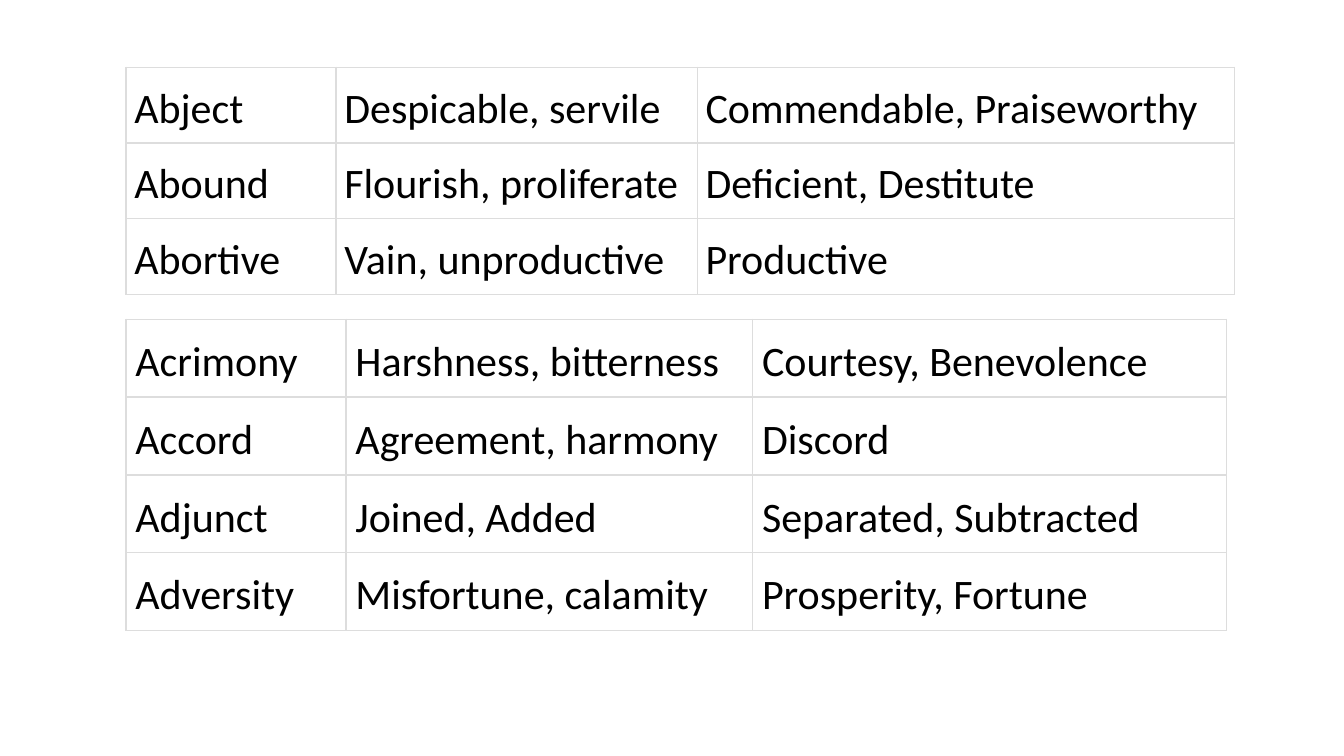
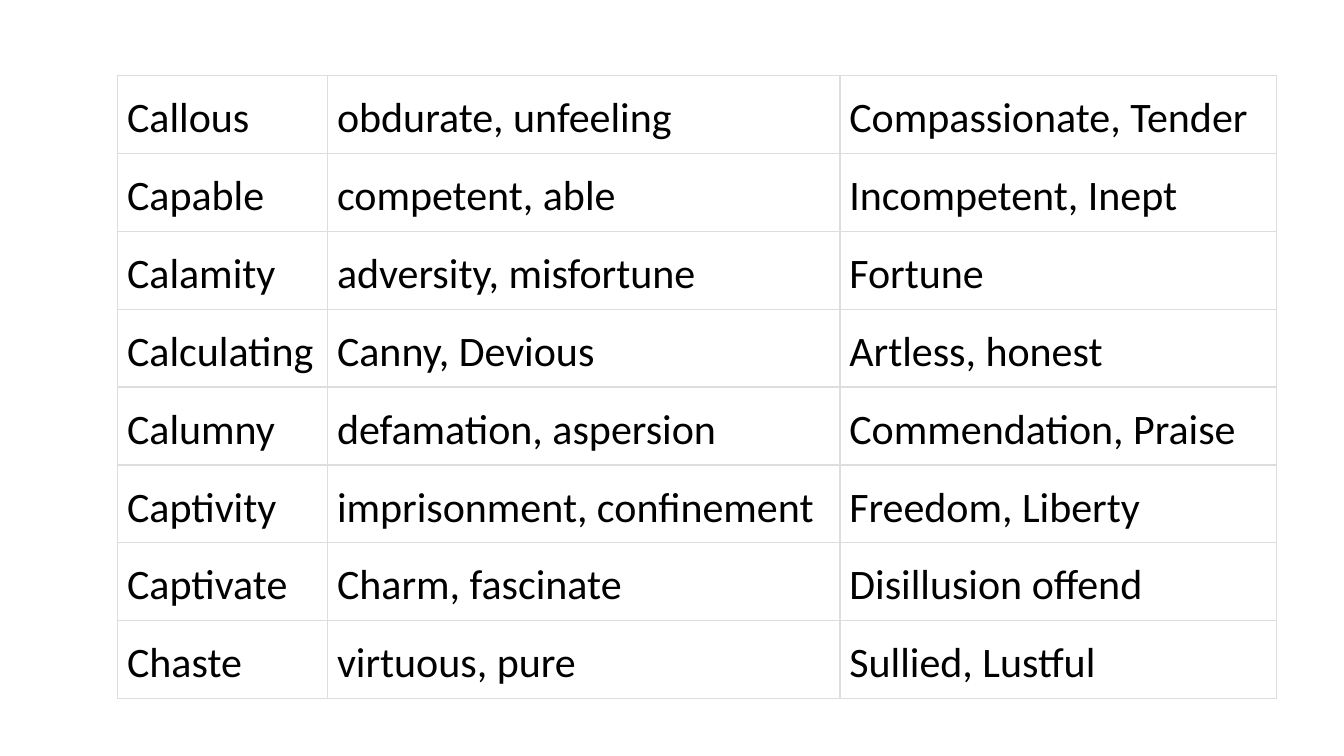
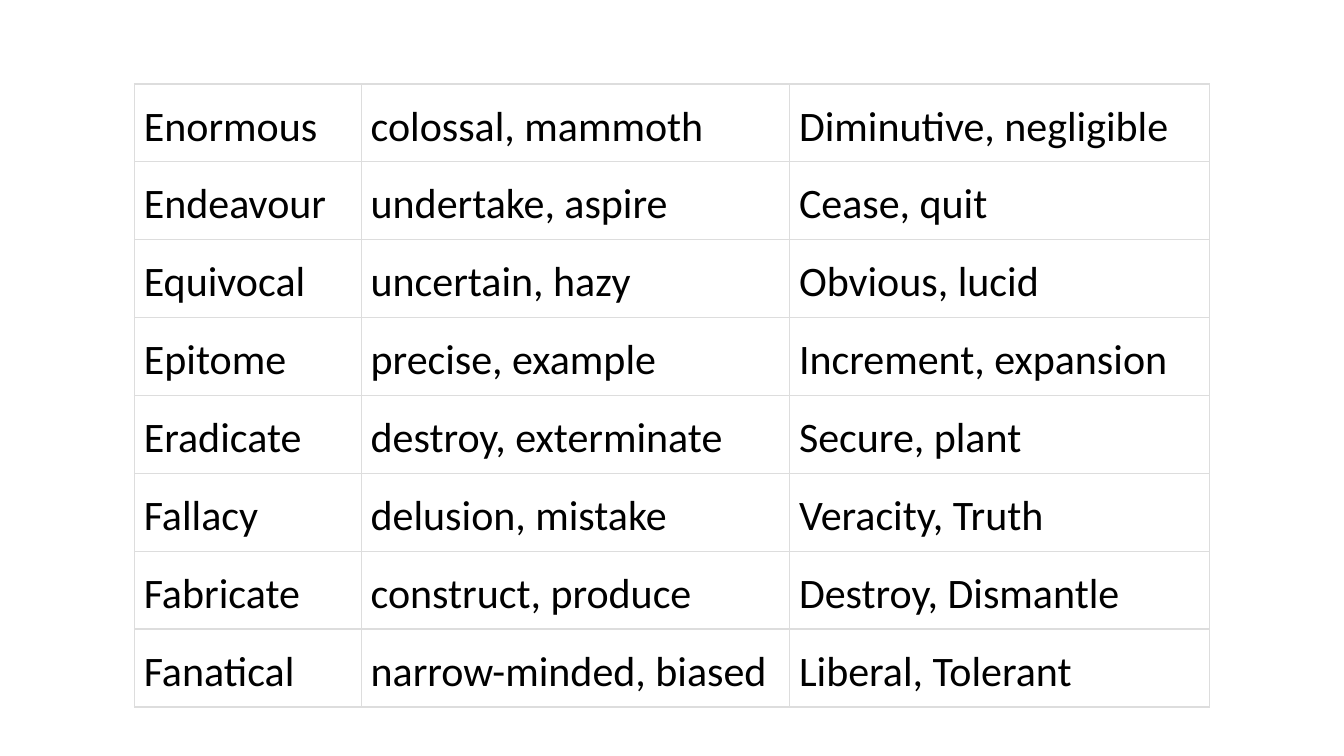
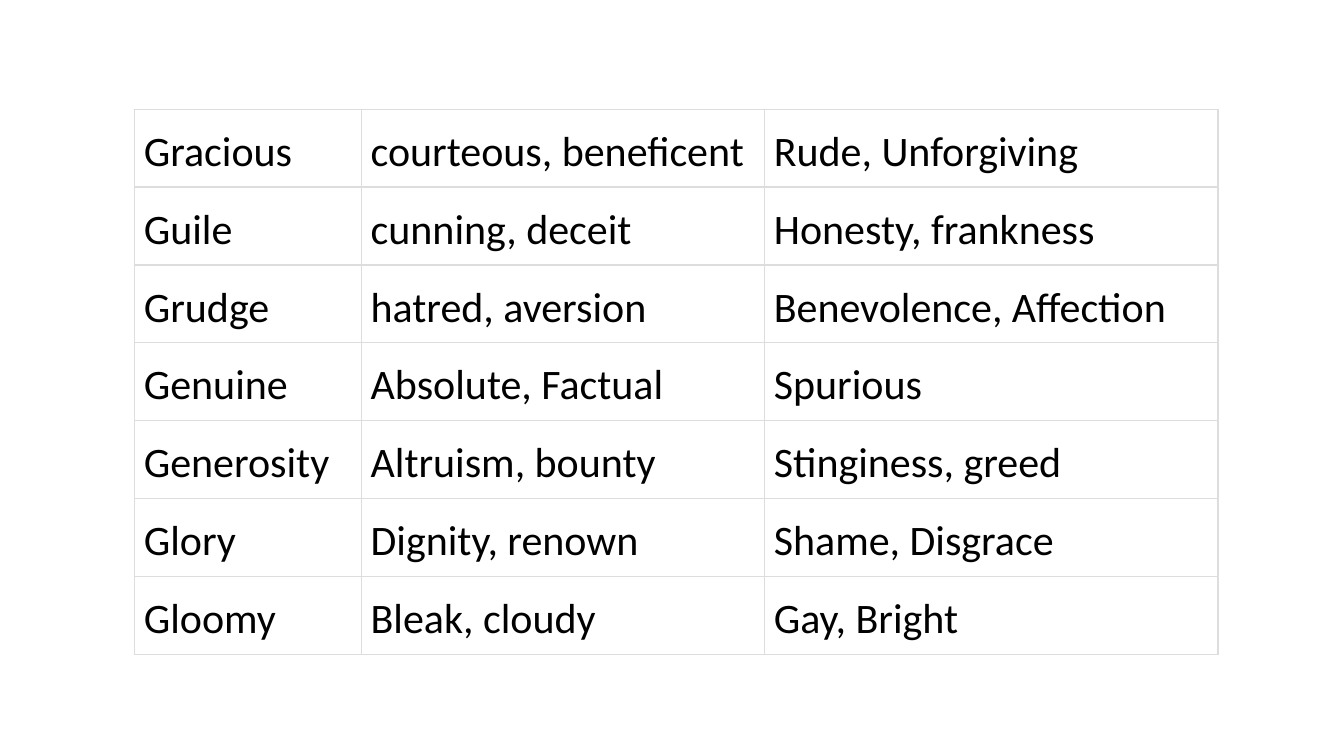
from lxml import etree
from pptx import Presentation
from pptx.dml.color import RGBColor as Rgb
from pptx.enum.text import MSO_ANCHOR as Anchor
from pptx.oxml.ns import qn
from pptx.util import Pt

GRID_UNIT = Pt(6)
GRID_COLUMNS, GRID_ROWS = 160, 90
LINE_HEIGHT = Pt(42)
BLANK_LAYOUT = 6

BACKGROUND, INK, BORDER = "FFFFFF", "000000", "DDDDDD"
BORDER_WIDTH = Pt(1)
FONT_FORMAT = {"name": "Calibri", "size": Pt(30), "bold": False}
TABLE_FORMAT = {"first_row": False, "horz_banding": False}
CELL_MARGINS = ("margin_left", "margin_top", "margin_right", "margin_bottom")

SLIDES = [
    [
        {
            "corner": (15, 8),
            "columns": (25, 43, 64),
            "inset": 6,
            "words": [
                ("Abject", "Despicable, servile", "Commendable, Praiseworthy"),
                ("Abound", "Flourish, proliferate", "Deficient, Destitute"),
                ("Abortive", "Vain, unproductive", "Productive"),
            ],
        },
        {
            "corner": (15, 38),
            "columns": (26.2, 48.4, 56.4),
            "words": [
                ("Acrimony", "Harshness, bitterness", "Courtesy, Benevolence"),
                ("Accord", "Agreement, harmony", "Discord"),
                ("Adjunct", "Joined, Added", "Separated, Subtracted"),
                ("Adversity", "Misfortune, calamity", "Prosperity, Fortune"),
            ],
        },
    ],
    [
        {
            "corner": (14, 9),
            "columns": (25, 61, 52),
            "words": [
                ("Callous", "obdurate, unfeeling", "Compassionate, Tender"),
                ("Capable", "competent, able", "Incompetent, Inept"),
                ("Calamity", "adversity, misfortune", "Fortune"),
                ("Calculating", "Canny, Devious", "Artless, honest"),
                ("Calumny", "defamation, aspersion", "Commendation, Praise"),
                ("Captivity", "imprisonment, confinement", "Freedom, Liberty"),
                ("Captivate", "Charm, fascinate", "Disillusion offend"),
                ("Chaste", "virtuous, pure", "Sullied, Lustful"),
            ],
        },
    ],
    [
        {
            "corner": (16, 10),
            "columns": (27, 51, 50),
            "words": [
                ("Enormous", "colossal, mammoth", "Diminutive, negligible"),
                ("Endeavour", "undertake, aspire", "Cease, quit"),
                ("Equivocal", "uncertain, hazy", "Obvious, lucid"),
                ("Epitome", "precise, example", "Increment, expansion"),
                ("Eradicate", "destroy, exterminate", "Secure, plant"),
                ("Fallacy", "delusion, mistake", "Veracity, Truth"),
                ("Fabricate", "construct, produce", "Destroy, Dismantle"),
                ("Fanatical", "narrow-minded, biased", "Liberal, Tolerant"),
            ],
        },
    ],
    [
        {
            "corner": (16, 13),
            "columns": (27, 48, 54),
            "words": [
                ("Gracious", "courteous, beneficent", "Rude, Unforgiving"),
                ("Guile", "cunning, deceit", "Honesty, frankness"),
                ("Grudge", "hatred, aversion", "Benevolence, Affection"),
                ("Genuine", "Absolute, Factual", "Spurious"),
                ("Generosity", "Altruism, bounty", "Stinginess, greed"),
                ("Glory", "Dignity, renown", "Shame, Disgrace"),
                ("Gloomy", "Bleak, cloudy", "Gay, Bright"),
            ],
        },
    ],
]


def grid(count):
    """Return the length of a number of grid units."""
    return round(count * GRID_UNIT)


def apply_format(target, values):
    """Set each attribute named in a dict of format values."""
    for name, value in values.items():
        setattr(target, name, value)


def paint(color_owner, color):
    """Give a fill a solid colour from a hex string."""
    color_owner.solid()
    color_owner.fore_color.rgb = Rgb.from_string(color)


def draw_borders(cell):
    """Draw the thin border on all four sides of a cell."""
    properties = cell._tc.get_or_add_tcPr()
    for position, side in enumerate(("lnL", "lnR", "lnT", "lnB")):
        line = etree.Element(qn(f"a:{side}"), w=str(BORDER_WIDTH))
        fill = etree.SubElement(line, qn("a:solidFill"))
        etree.SubElement(fill, qn("a:srgbClr"), val=BORDER)
        properties.insert(position, line)


def write_cell(cell, text, inset):
    """Write one word or word list and style its cell."""
    apply_format(cell, dict.fromkeys(CELL_MARGINS, inset))
    cell.vertical_anchor = Anchor.TOP
    paint(cell.fill, BACKGROUND)
    draw_borders(cell)
    paragraph = cell.text_frame.paragraphs[0]
    paragraph.line_spacing = 1.15
    run = paragraph.add_run()
    run.text = text
    apply_format(run.font, FONT_FORMAT)
    paint(run.font.fill, INK)


def add_word_table(slide, corner, columns, words, inset=6.75):
    """Add a table of words, synonyms and antonyms at a grid corner."""
    margin = Pt(inset)
    row_height = LINE_HEIGHT + 2 * margin
    left, top = map(grid, corner)
    table = slide.shapes.add_table(
        len(words), len(columns), left, top, grid(sum(columns)), row_height * len(words)
    ).table
    apply_format(table, TABLE_FORMAT)
    for column, width in zip(table.columns, columns):
        column.width = grid(width)
    for row, texts in zip(table.rows, words):
        row.height = row_height
        for cell, text in zip(row.cells, texts):
            write_cell(cell, text, margin)


def main():
    """Build the vocabulary slides and save them."""
    presentation = Presentation()
    presentation.slide_width = grid(GRID_COLUMNS)
    presentation.slide_height = grid(GRID_ROWS)
    paint(presentation.slide_master.background.fill, BACKGROUND)
    for tables in SLIDES:
        slide = presentation.slides.add_slide(presentation.slide_layouts[BLANK_LAYOUT])
        for table in tables:
            add_word_table(slide, **table)
    presentation.save("out.pptx")


if __name__ == "__main__":
    main()
